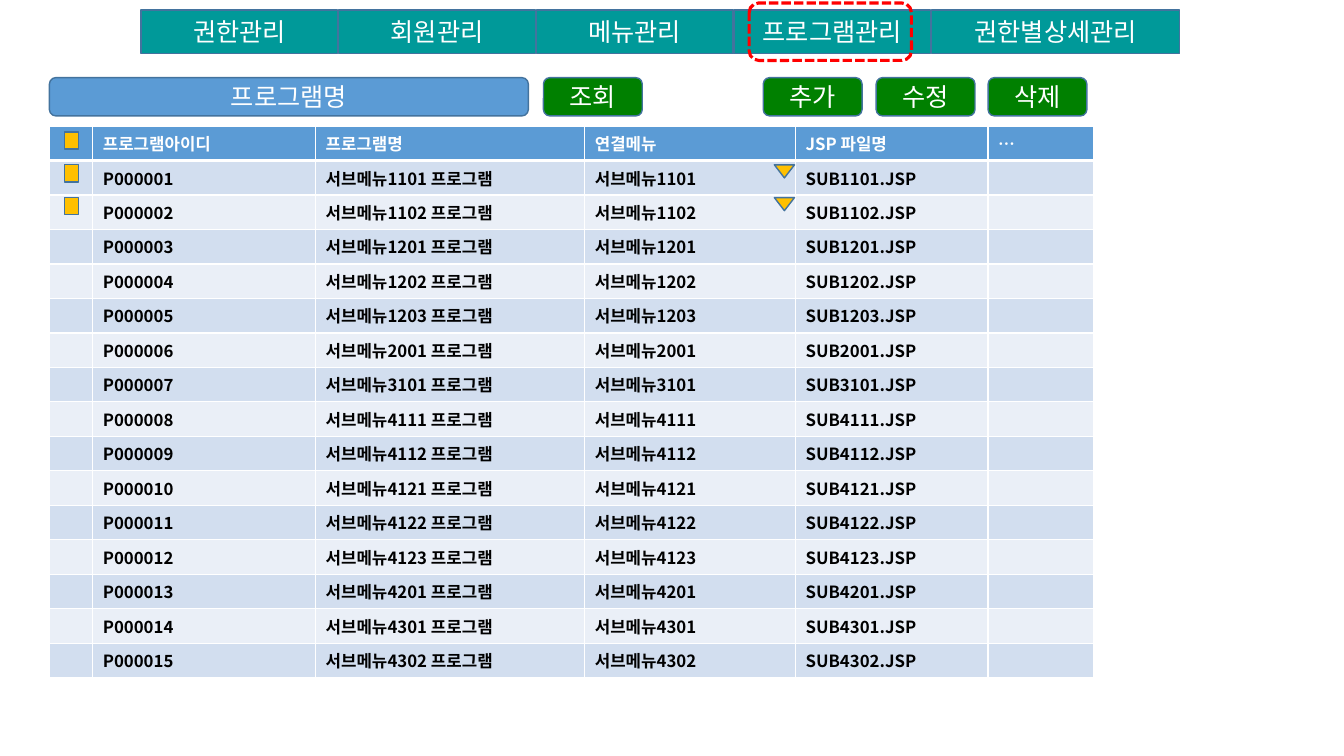
from lxml.etree import SubElement
from pptx import Presentation
from pptx.dml.color import RGBColor
from pptx.enum.dml import MSO_LINE
from pptx.enum.shapes import MSO_SHAPE
from pptx.enum.text import MSO_ANCHOR, PP_ALIGN
from pptx.oxml.ns import qn
from pptx.util import Inches, Pt

# Content
TABS = [("권한관리", 1.95), ("회원관리", 1.95), ("메뉴관리", 1.95),
        ("프로그램관리", 1.95), ("권한별상세관리", 2.46)]
FIELD = "프로그램명"
BUTTONS = [("조회", 5.39), ("추가", 7.57), ("수정", 8.69), ("삭제", 9.8)]
HEAD = ["", "프로그램아이디", "프로그램명", "연결메뉴", "JSP 파일명", "…"]
CODES = [1101, 1102, 1201, 1202, 1203, 2001, 3101, 4111,
         4112, 4121, 4122, 4123, 4201, 4301, 4302]
WIDTHS = [0.43, 2.21, 2.67, 2.09, 1.91, 1.05]

# Style
FONT = "Noto Sans CJK KR"
WHITE, BLACK, BLUE, EDGE = "FFFFFF", "000000", "5B9BD5", "43739E"
TEAL, GREEN, GOLD, RED = "009999", "008000", "FFC000", "FF0000"
BANDS = ["D2DEEF", "EAEFF7"]
LEFT, TOP, ROW = 0.49, 1.25, 0.34


def color(code):
    return RGBColor.from_string(code)


def style(para, size, code, bold=False):
    for run in para.runs:
        run.font.size = Pt(size)
        run.font.bold = bold
        run.font.name = FONT
        run.font.color.rgb = color(code)
        SubElement(run.font._element, qn("a:ea"), typeface=FONT)


def shape(kind, x, y, w, h, fill, text=""):
    item = slide.shapes.add_shape(kind, Inches(x), Inches(y), Inches(w), Inches(h))
    item.shadow.inherit = False
    if fill:
        item.fill.solid()
        item.fill.fore_color.rgb = color(fill)
    else:
        item.fill.background()
    item.line.color.rgb = color(EDGE)
    item.line.width = Pt(1)
    if text:
        frame = item.text_frame
        frame.text = text
        frame.vertical_anchor = MSO_ANCHOR.MIDDLE
        frame.paragraphs[0].alignment = PP_ALIGN.CENTER
        style(frame.paragraphs[0], 18, WHITE)
    return item


def border(cell, row):
    props = cell._tc.get_or_add_tcPr()
    thick = {"lnT": row == 1, "lnB": row == 0}
    for side in ("lnL", "lnR", "lnT", "lnB"):
        width = Pt(3 if thick.get(side) else 1)
        line = SubElement(props, qn("a:" + side), w=str(width))
        fill = SubElement(line, qn("a:solidFill"))
        SubElement(fill, qn("a:srgbClr"), val=WHITE)


def fill_cell(cell, text, row):
    border(cell, row)
    cell.fill.solid()
    cell.fill.fore_color.rgb = color(BANDS[(row - 1) % 2] if row else BLUE)
    para = cell.text_frame.paragraphs[0]
    if text:
        para.text = text
        style(para, 12, BLACK if row else WHITE, True)
    else:
        # Keeps an empty cell as low as its row
        SubElement(para._p, qn("a:endParaRPr"), sz="1200")


deck = Presentation()
deck.slide_width, deck.slide_height = Inches(13.33), Inches(7.5)
slide = deck.slides.add_slide(deck.slide_layouts[6])

# Menu tabs, with the current one ringed
for i, (name, width) in enumerate(TABS):
    shape(MSO_SHAPE.RECTANGLE, 1.4 + 1.96 * i, 0.1, width, 0.43, TEAL, name)
ring = shape(MSO_SHAPE.ROUNDED_RECTANGLE, 7.43, 0.03, 1.61, 0.57, None)
ring.line.color.rgb = color(RED)
ring.line.width = Pt(2.25)
ring.line.dash_style = MSO_LINE.SQUARE_DOT

# Program table
rows = [HEAD] + [
    ["", f"P{i:06d}", f"서브메뉴{code} 프로그램", f"서브메뉴{code}", f"SUB{code}.JSP", ""]
    for i, code in enumerate(CODES, 1)]
table = slide.shapes.add_table(
    len(rows), len(WIDTHS), Inches(LEFT), Inches(TOP),
    Inches(sum(WIDTHS)), Inches(ROW * len(rows))).table
for col, width in zip(table.columns, WIDTHS):
    col.width = Inches(width)
for r, row in enumerate(rows):
    for c, text in enumerate(row):
        fill_cell(table.cell(r, c), text, r)

# Search field and buttons
shape(MSO_SHAPE.ROUNDED_RECTANGLE, LEFT, 0.77, 4.75, 0.38, BLUE, FIELD)
for name, x in BUTTONS:
    shape(MSO_SHAPE.ROUNDED_RECTANGLE, x, 0.77, 0.98, 0.38, GREEN, name)

# Check boxes and drop-down arrows
for i in range(3):
    y = 1.31 + 0.325 * i
    shape(MSO_SHAPE.RECTANGLE, 0.64, y, 0.14, 0.17, GOLD)
    if i:
        arrow = shape(MSO_SHAPE.ISOSCELES_TRIANGLE, 7.68, y, 0.2, 0.13, GOLD)
        arrow.rotation = 180

deck.save("out.pptx")
